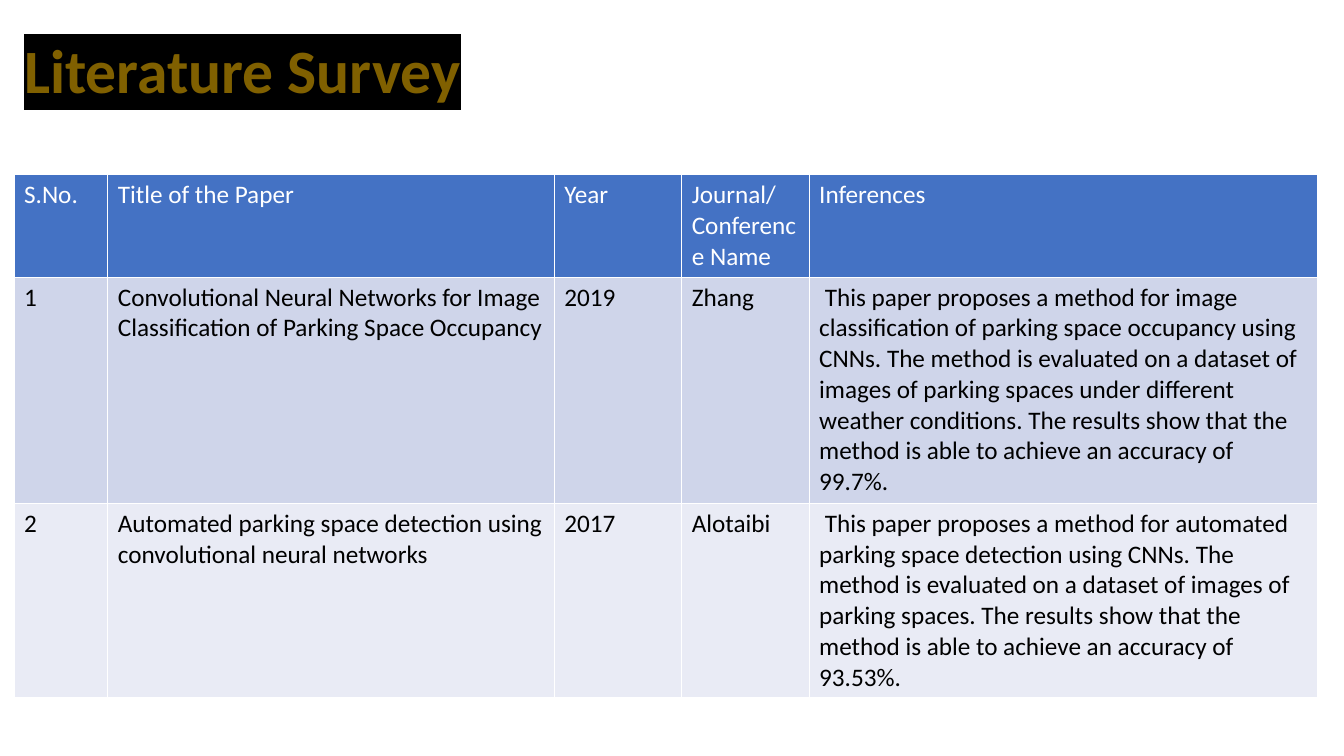
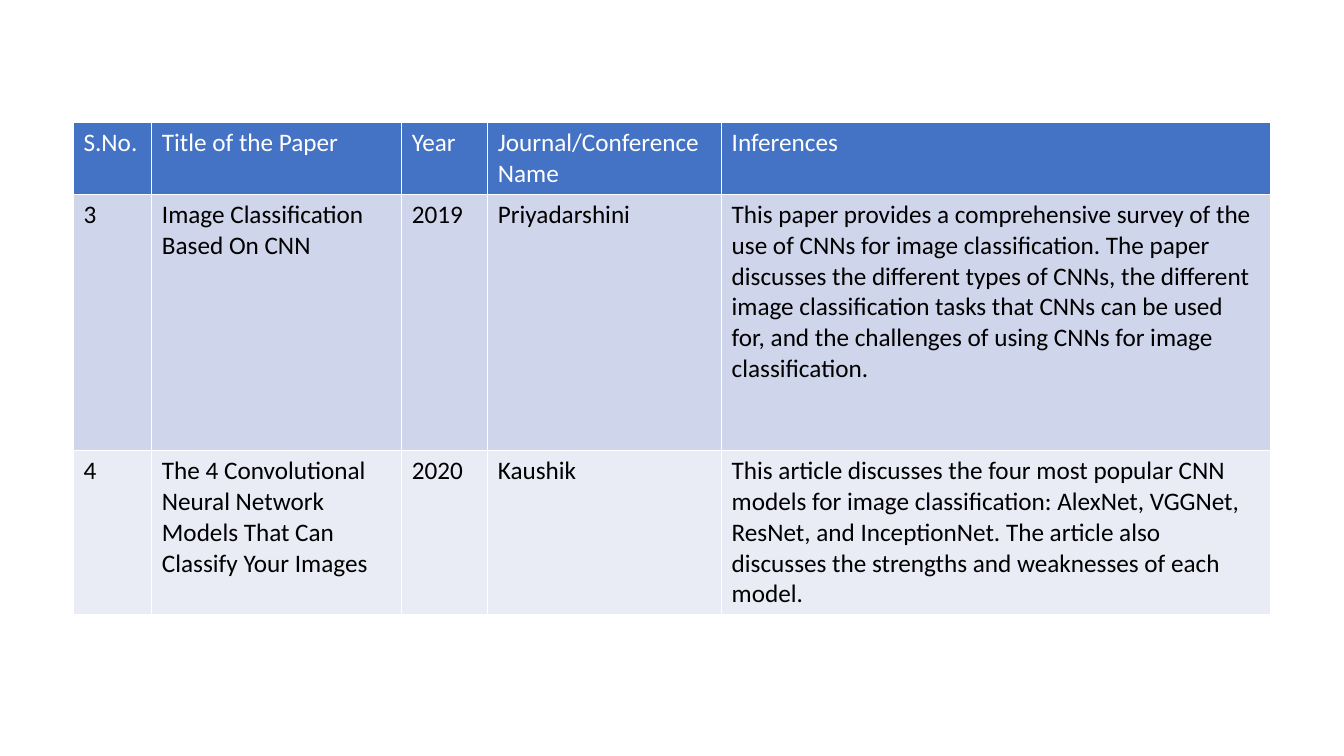
"""Build a two-slide literature survey with one table per slide."""
from lxml.etree import SubElement
from pptx import Presentation
from pptx.dml.color import RGBColor
from pptx.enum.text import MSO_ANCHOR, PP_ALIGN
from pptx.oxml.ns import qn
from pptx.util import Pt

FONT = "Calibri"
WHITE, BLACK, GOLD = "FFFFFF", "000000", "806000"
HEADER_FILL, BAND_FILLS = "4472C4", ("CFD5EA", "E9EBF5")
TITLE_ONLY, BLANK = 5, 6

HEADER = ("S.No.", "Title of the Paper", "Year", "Journal/Conference Name", "Inferences")
SLIDES = [
    {
        "title": "Literature Survey",
        "corner": (10, 124.8),
        "columns": (67, 319, 91, 91, 363),
        "rows": (72.5, 161.5, 138.5),
        "papers": [
            ("1", "Convolutional Neural Networks for Image Classification of Parking Space Occupancy",
             "2019", "Zhang",
             " This paper proposes a method for image classification of parking space occupancy "
             "using CNNs. The method is evaluated on a dataset of images of parking spaces under "
             "different weather conditions. The results show that the method is able to achieve "
             "an accuracy of 99.7%."),
            ("2", "Automated parking space detection using convolutional neural networks",
             "2017", "Alotaibi",
             " This paper proposes a method for automated parking space detection using CNNs. "
             "The method is evaluated on a dataset of images of parking spaces. The results show "
             "that the method is able to achieve an accuracy of 93.53%."),
        ],
    },
    {
        "title": None,
        "corner": (52.5, 87.8),
        "columns": (56, 178.5, 61.5, 167, 392),
        "rows": (51, 183, 117),
        "papers": [
            ("3", "Image Classification Based On CNN", "2019", "Priyadarshini",
             "This paper provides a comprehensive survey of the use of CNNs for image "
             "classification. The paper discusses the different types of CNNs, the different "
             "image classification tasks that CNNs can be used for, and the challenges of using "
             "CNNs for image classification."),
            ("4", "The 4 Convolutional Neural Network Models That Can Classify Your Images",
             "2020", "Kaushik",
             "This article discusses the four most popular CNN models for image classification: "
             "AlexNet, VGGNet, ResNet, and InceptionNet. The article also discusses the strengths "
             "and weaknesses of each model."),
        ],
    },
]


def color(value):
    return RGBColor.from_string(value)


def format_text(frame, size, ink, bold=False):
    for para in frame.paragraphs:
        for span in para.runs:
            span.font.size, span.font.bold = Pt(size), bold
            span.font.color.rgb = color(ink)
            span.font.name = FONT


def highlight(span, value):
    mark = SubElement(span.font._element, qn("a:highlight"))
    SubElement(mark, qn("a:srgbClr"), val=value)
    latin = span.font._element.find(qn("a:latin"))
    latin.addprevious(mark)


def set_title(slide, text):
    title = slide.shapes.title
    title.left, title.top, title.width, title.height = Pt(10), Pt(0), Pt(828), Pt(104.4)
    frame = title.text_frame
    frame.text = text
    frame.vertical_anchor = MSO_ANCHOR.MIDDLE
    para = frame.paragraphs[0]
    para.alignment, para.line_spacing = PP_ALIGN.LEFT, 0.9
    format_text(frame, 44, GOLD, bold=True)
    highlight(para.runs[0], BLACK)


def add_survey_table(slide, content):
    lines = [HEADER, *content["papers"]]
    columns, rows = content["columns"], content["rows"]
    left, top = content["corner"]
    table = slide.shapes.add_table(len(lines), len(columns), Pt(left), Pt(top),
                                   Pt(sum(columns)), Pt(sum(rows))).table
    for column, width in zip(table.columns, columns):
        column.width = Pt(width)
    for index, (row, height, texts) in enumerate(zip(table.rows, rows, lines)):
        row.height = Pt(height)
        fill = BAND_FILLS[(index - 1) % 2] if index else HEADER_FILL
        for cell, text in zip(row.cells, texts):
            cell.text_frame.text = text
            cell.fill.solid()
            cell.fill.fore_color.rgb = color(fill)
            format_text(cell.text_frame, 18, BLACK if index else WHITE)


def main():
    deck = Presentation()
    deck.slide_width, deck.slide_height = Pt(960), Pt(540)
    for content in SLIDES:
        layout = TITLE_ONLY if content["title"] else BLANK
        slide = deck.slides.add_slide(deck.slide_layouts[layout])
        if content["title"]:
            set_title(slide, content["title"])
        add_survey_table(slide, content)
    deck.save("out.pptx")


if __name__ == "__main__":
    main()
